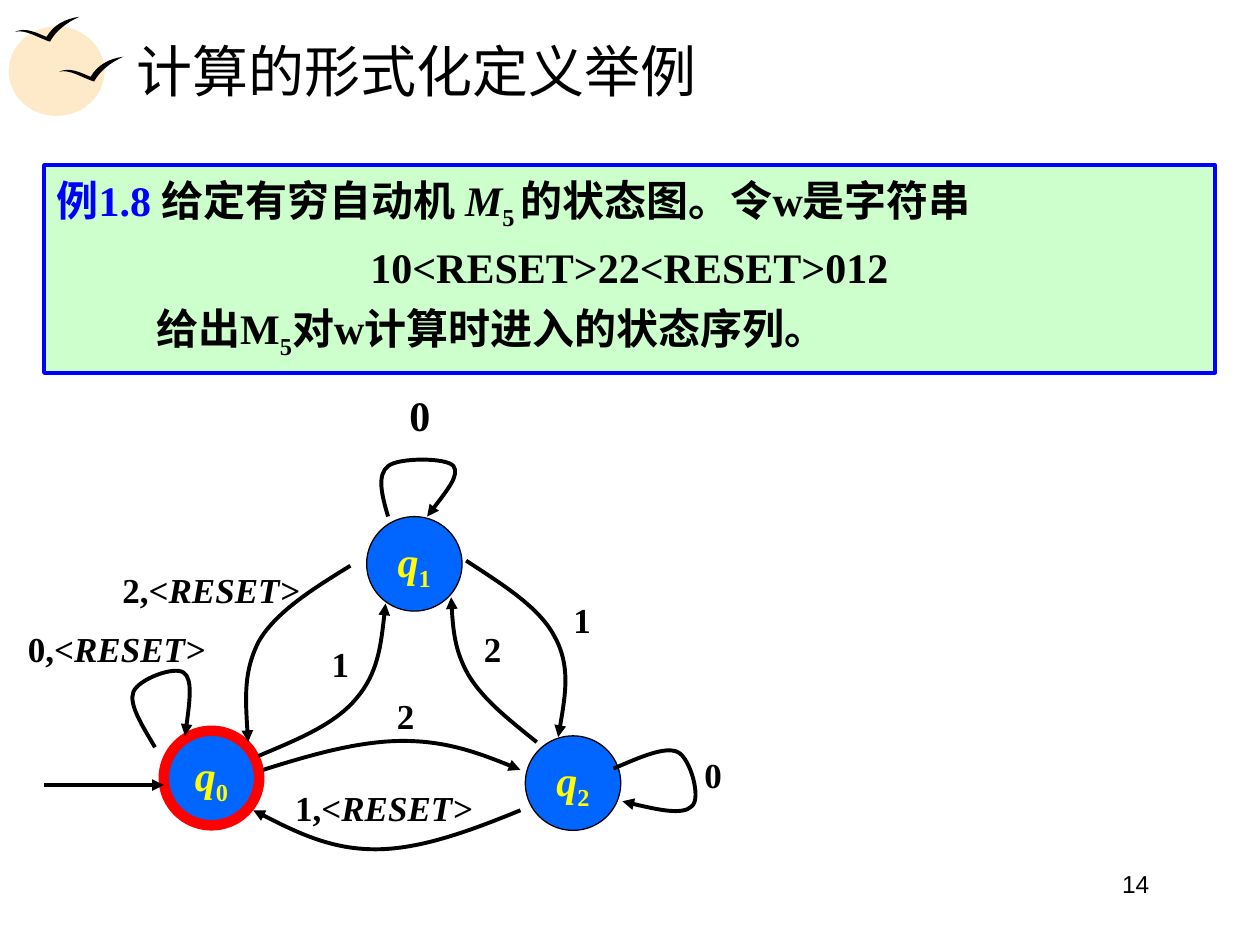
from lxml.etree import SubElement
from pptx import Presentation
from pptx.dml.color import RGBColor
from pptx.enum.shapes import MSO_CONNECTOR, MSO_SHAPE
from pptx.enum.text import MSO_ANCHOR, MSO_AUTO_SIZE, PP_ALIGN
from pptx.oxml.ns import qn
from pptx.util import Pt

SERIF = "Times New Roman"
SUBSCRIPT = {"italic": False, "baseline": -25000}
RESET = ("RESET>", {"italic": True})

NODES = [
    ("0", 93.6, 217.6, "FF0000", 6),
    ("2", 300.2, 220.5, "000000", 0.75),
    ("1", 209.5, 95.2, "000000", 0.75),
]
EDGES = [
    [(150.5, 239.9), (177.8, 231.3), (205.2, 223.4), (230.4, 223.4),
     (254.9, 223.4), (276.5, 231.3), (297.4, 239.9)],
    [(88.6, 227), (81.4, 214.7), (73.4, 202.5), (76.3, 195.3), (79.2, 188.1),
     (100.1, 180.2), (105.1, 184.5), (110.2, 188.1), (108, 204.6), (105.8, 220.5)],
    [(297.4, 263), (269.3, 274.5), (240.5, 285.3), (214.6, 285.3),
     (189.4, 285.3), (167, 274.5), (144.7, 263)],
    [(306.7, 224.1), (291.6, 211.8), (276.5, 200.3), (267.8, 185.9),
     (259.9, 172.2), (258.5, 156.4), (257.8, 141.3)],
    [(266.4, 120.4), (287.3, 134.1), (308.2, 147), (316.8, 163.6),
     (326.2, 180.2), (322.6, 201), (319, 221.2)],
    [(350.6, 239.2), (365.8, 232.7), (380.2, 226.2), (387.4, 229.8), (394.6, 233.4),
     (401, 256.5), (395.3, 260.8), (390.2, 265.8), (373, 262.2), (355.7, 257.9)],
    [(221.8, 95.2), (218.2, 83), (215.3, 71.4), (221.8, 66.4), (227.5, 61.4),
     (255.6, 61.4), (259.2, 66.4), (262.8, 71.4), (253.4, 83), (244.1, 95.2)],
    [(147.6, 232), (169.9, 222.6), (191.5, 214), (203.8, 198.9),
     (216, 184.5), (218.2, 165), (220.3, 144.9)],
    [(200.2, 123.3), (179.3, 136.2), (158.4, 149.2), (148.3, 165.8),
     (139, 183), (140.4, 203.2), (141.8, 224.1)],
]
LABELS = [
    ([("2", {})], 219.6, 193.1, 24.5, 20),
    ([("0,<", {}), RESET], 8.6, 155, 116, 20),
    ([("0", {})], 395.3, 227, 24.5, 20),
    ([("0", {})], 226.8, 18.9, 26, 24),
    ([("1,<", {}), RESET], 161.3, 245.7, 116, 20),
    ([("2", {})], 269.3, 155, 24.5, 20),
    ([("1", {})], 320.4, 138.4, 24.5, 20),
    ([("1", {})], 182.2, 163.6, 24.5, 20),
    ([("2,<", {}), RESET], 62.6, 121.1, 116, 20),
]
BIRD = [(0, 8.6), (6, 5.8), (12, 9), (18, 11.5), (22, 4.5), (29, 1), (36.7, 0),
        (29, 3.5), (23, 8.5), (20, 14.2), (13, 12), (6, 7), (0, 8.6)]


def rgb(value):
    return RGBColor.from_string(value)


def write(paragraph, runs, **base):
    for text, changes in runs:
        run = paragraph.add_run()
        run.text = text
        formats = {"name": SERIF, **base, **changes}
        run.font.color.rgb = rgb(formats.pop("color", "000000"))
        baseline = formats.pop("baseline", 0)
        if baseline:
            run._r.get_or_add_rPr().set("baseline", str(baseline))
        for key, value in formats.items():
            setattr(run.font, key, value)


def paint(shape, fill=None, line=None, width=0):
    shape.shadow.inherit = False
    if fill:
        shape.fill.solid()
        shape.fill.fore_color.rgb = rgb(fill)
    else:
        shape.fill.background()
    if line:
        shape.line.color.rgb = rgb(line)
        shape.line.width = Pt(width)
    else:
        shape.line.fill.background()


def add_arrowhead(shape):
    SubElement(shape.line._get_or_add_ln(), qn("a:tailEnd"), type="triangle")


def add_curve(shapes, points, left, top, close=False):
    placed = [(Pt(left + x), Pt(top + y)) for x, y in points]
    builder = shapes.build_freeform(*placed[0])
    builder.add_line_segments(placed[1:], close=close)
    curve = builder.convert_to_shape()
    segments = list(curve._element.iter(qn("a:lnTo")))
    for first in range(0, len(segments), 3):
        bezier = segments[first]
        bezier.tag = qn("a:cubicBezTo")
        for control in segments[first + 1:first + 3]:
            bezier.append(control[0])
            control.getparent().remove(control)
    return curve


def add_emblem(shapes, left, top):
    for x, y, width, height in [(0, 0, 54.7, 51.1), (9.4, 5, 45.4, 39.6)]:
        sun = shapes.add_shape(MSO_SHAPE.OVAL, Pt(left + x), Pt(top + y),
                               Pt(width), Pt(height))
        paint(sun, "FEE9C8")
    for x, y in [(28.8, 17.3), (3.6, -5.5)]:
        paint(add_curve(shapes, BIRD, left + x, top + y, close=True), "000000")


def add_title(title, left, top, width, height):
    title.left, title.top, title.width, title.height = map(Pt, (left, top, width, height))
    title.text_frame.vertical_anchor = MSO_ANCHOR.MIDDLE
    heading = title.text_frame.paragraphs[0]
    heading.alignment = PP_ALIGN.LEFT
    write(heading, [("计算的形式化定义举例", {})], size=Pt(32))


def add_example(shapes, left, top, width, height):
    example = shapes.add_shape(MSO_SHAPE.RECTANGLE, *map(Pt, (left, top, width, height)))
    paint(example, "CCFFCC", "0000FF", 2.25)
    frame = example.text_frame
    frame.word_wrap = True
    frame.vertical_anchor = MSO_ANCHOR.TOP
    statements = [
        (PP_ALIGN.LEFT, [("例1.8 ", {"color": "0000FF"}), ("给定有穷自动机 ", {}),
                         ("M", {"italic": True}), ("5 ", SUBSCRIPT),
                         ("的状态图。令w是字符串", {})]),
        (PP_ALIGN.CENTER, [("10<RESET>22<RESET>012", {})]),
        (PP_ALIGN.LEFT, [("\t给出M", {}), ("5", SUBSCRIPT),
                         ("对w计算时进入的状态序列。", {})]),
    ]
    for index, (alignment, runs) in enumerate(statements):
        statement = frame.add_paragraph() if index else frame.paragraphs[0]
        statement.alignment = alignment
        statement.line_spacing = 1.05
        statement.space_before = Pt(4.5 if index else 0)
        properties = statement._p.get_or_add_pPr()
        properties.set("marL", str(Pt(57)))
        properties.set("indent", str(Pt(-57)))
        write(statement, runs, size=Pt(24), bold=True)


def add_state(shapes, number, left, top, line, width):
    state = shapes.add_shape(MSO_SHAPE.OVAL, Pt(left), Pt(top), Pt(54.5), Pt(54))
    paint(state, "0066FF", line, width)
    state.text_frame.word_wrap = False
    state.text_frame.vertical_anchor = MSO_ANCHOR.MIDDLE
    name = state.text_frame.paragraphs[0]
    name.alignment = PP_ALIGN.CENTER
    write(name, [("q", {"italic": True}), (number, SUBSCRIPT)],
          size=Pt(24), bold=True, color="FFFF00")


def add_label(shapes, runs, left, top, width, size):
    label = shapes.add_textbox(Pt(left), Pt(top), Pt(width), Pt(size * 1.2 + 7.5))
    label.text_frame.word_wrap = False
    label.text_frame.auto_size = MSO_AUTO_SIZE.SHAPE_TO_FIT_TEXT
    symbol = label.text_frame.paragraphs[0]
    symbol.alignment = PP_ALIGN.CENTER
    write(symbol, runs, size=Pt(size), bold=True)


def add_automaton(shapes, left, top):
    for number, x, y, line, width in NODES:
        add_state(shapes, number, left + x, top + y, line, width)
    for points in EDGES:
        edge = add_curve(shapes, points, left, top)
        paint(edge, line="000000", width=2.25)
        add_arrowhead(edge)
    start = shapes.add_connector(MSO_CONNECTOR.STRAIGHT, Pt(left + 25.2), Pt(top + 248.6),
                                 Pt(left + 93.6), Pt(top + 248.6))
    start.line.color.rgb = rgb("000000")
    start.line.width = Pt(2.25)
    add_arrowhead(start)
    SubElement(start._element.spPr, qn("a:effectLst"))
    for runs, x, y, width, size in LABELS:
        add_label(shapes, runs, left + x, top + y, width, size)


def add_page_number(shapes, left, top, width, height):
    number = shapes.add_textbox(*map(Pt, (left, top, width, height)))
    number.text_frame.word_wrap = True
    page = number.text_frame.paragraphs[0]
    page.alignment = PP_ALIGN.RIGHT
    write(page, [("14", {})], name="Arial", size=Pt(14))


def main():
    deck = Presentation()
    deck.slide_width, deck.slide_height = Pt(720), Pt(540)
    slide = deck.slides.add_slide(deck.slide_layouts[5])
    shapes = slide.shapes
    add_emblem(shapes, 5, 15.1)
    add_title(shapes.title, 70.6, 15.1, 614.2, 49.7)
    add_example(shapes, 25.2, 94.3, 668.9, 118.8)
    add_automaton(shapes, 0, 200)
    add_page_number(shapes, 496.1, 493.2, 167.8, 37.4)
    deck.save("out.pptx")


if __name__ == "__main__":
    main()
